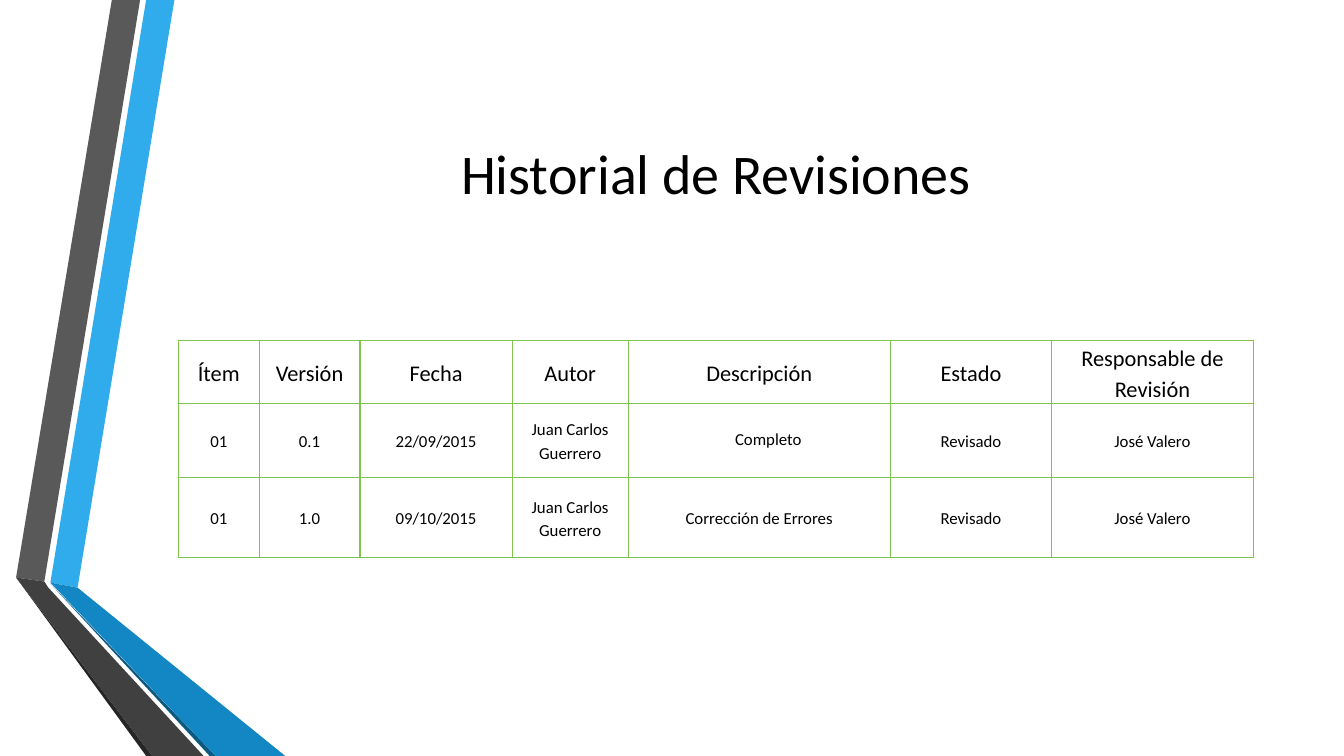
from dataclasses import dataclass
from typing import Any

from lxml.etree import SubElement
from pptx import Presentation
from pptx.dml.color import RGBColor
from pptx.enum.text import MSO_ANCHOR as Anchor, PP_ALIGN as Align
from pptx.oxml.ns import qn
from pptx.slide import Slide
from pptx.table import _Cell as Cell
from pptx.text.text import TextFrame
from pptx.util import Inches, Pt

BLACK = RGBColor(0x00, 0x00, 0x00)
GREEN = RGBColor(0x80, 0xC3, 0x4F)
LIGHT_BLUE = RGBColor(0x30, 0xAC, 0xEC)
BLUE = RGBColor(0x12, 0x87, 0xC3)
DEEP_BLUE = RGBColor(0x0C, 0x5A, 0x82)
GRAY = RGBColor(0x59, 0x59, 0x59)
DARK_GRAY = RGBColor(0x40, 0x40, 0x40)
DEEP_GRAY = RGBColor(0x26, 0x26, 0x26)


@dataclass(frozen=True)
class Ribbon:
    color: RGBColor
    points: tuple[tuple[float, float], ...]


@dataclass(frozen=True)
class Column:
    heading: str
    width: float
    entries: tuple[str, str]


RIBBONS = (
    Ribbon(LIGHT_BLUE, ((0.5, 5.78), (0.77, 5.83), (1.73, 0), (1.45, 0))),
    Ribbon(GRAY, ((1.39, 0), (1.11, 0), (0.16, 5.73), (0.44, 5.77))),
    Ribbon(DEEP_GRAY, ((0.16, 5.73), (1.45, 7.5), (1.51, 7.5))),
    Ribbon(DEEP_BLUE, ((0.5, 5.79), (2.08, 7.5), (2.14, 7.5))),
    Ribbon(BLUE, ((0.5, 5.78), (2.14, 7.5), (2.83, 7.5), (0.77, 5.83))),
    Ribbon(DARK_GRAY, ((0.16, 5.73), (1.51, 7.5), (2.02, 7.5), (0.48, 5.83), (0.44, 5.77))),
)
COLUMNS = (
    Column("Ítem", 0.8, ("01", "01")),
    Column("Versión", 1, ("0.1", "1.0")),
    Column("Fecha", 1.51, ("22/09/2015", "09/10/2015")),
    Column("Autor", 1.15, ("Juan Carlos Guerrero", "Juan Carlos Guerrero")),
    Column("Descripción", 2.6, ("Completo", "Corrección de Errores")),
    Column("Estado", 1.6, ("Revisado", "Revisado")),
    Column("Responsable de Revisión", 2, ("José Valero", "José Valero")),
)
ROW_HEIGHTS = (0.62, 0.74, 0.79)
CELL_FORMAT = {
    "margin_left": Inches(0.08),
    "margin_right": Inches(0.08),
    "margin_top": 0,
    "margin_bottom": 0,
    "vertical_anchor": Anchor.MIDDLE,
}
CELL_PARA = {"alignment": Align.CENTER, "line_spacing": 1.15, "space_after": Pt(3)}
TITLE_PARA = {"alignment": Align.CENTER}
TITLE_FRAME = {"word_wrap": True, "vertical_anchor": Anchor.MIDDLE}
PLAIN_TABLE = {"first_row": False, "horz_banding": False}


def apply(target: Any, values: dict[str, Any]) -> None:
    for name, value in values.items():
        setattr(target, name, value)


def write(frame: TextFrame, text: str, size: float, para_format: dict[str, Any]) -> None:
    para = frame.paragraphs[0]
    apply(para, para_format)
    span = para.add_run()
    span.text = text
    apply(span.font, {"name": "Calibri", "size": Pt(size)})
    span.font.color.rgb = BLACK


def draw_ribbon(page: Slide, ribbon: Ribbon) -> None:
    start, *others = [(Inches(x), Inches(y)) for x, y in ribbon.points]
    builder = page.shapes.build_freeform(*start)
    builder.add_line_segments(others, close=True)
    shape = builder.convert_to_shape()
    shape.shadow.inherit = False
    shape.fill.solid()
    shape.fill.fore_color.rgb = ribbon.color
    shape.line.fill.background()


def draw_title(page: Slide) -> None:
    box = page.shapes.add_textbox(Inches(1.62), Inches(0.75), Inches(10.96), Inches(1.92))
    apply(box.text_frame, TITLE_FRAME)
    write(box.text_frame, "Historial de Revisiones", 40, TITLE_PARA)


def outline(cell: Cell) -> None:
    properties = cell._tc.get_or_add_tcPr()
    for side in ("a:lnL", "a:lnR", "a:lnT", "a:lnB"):
        border = SubElement(properties, qn(side), w=str(Pt(1)))
        fill = SubElement(border, qn("a:solidFill"))
        SubElement(fill, qn("a:srgbClr"), val=str(GREEN))


def draw_history(page: Slide) -> None:
    width = sum(column.width for column in COLUMNS)
    frame = page.shapes.add_table(
        len(ROW_HEIGHTS), len(COLUMNS),
        Inches(1.77), Inches(3.38), Inches(width), Inches(sum(ROW_HEIGHTS)),
    )
    table = frame.table
    apply(table, PLAIN_TABLE)
    for row, height in zip(table.rows, ROW_HEIGHTS):
        row.height = Inches(height)
    for index, column in enumerate(COLUMNS):
        table.columns[index].width = Inches(column.width)
        for row_index, text in enumerate((column.heading, *column.entries)):
            cell = table.cell(row_index, index)
            apply(cell, CELL_FORMAT)
            outline(cell)
            cell.fill.background()
            write(cell.text_frame, text, 12 if row_index else 16, CELL_PARA)
            if text == "Completo":
                cell.margin_left = Inches(0.26)
                cell.margin_bottom = Inches(0.04)


def main() -> None:
    deck = Presentation()
    apply(deck, {"slide_width": Inches(13.33), "slide_height": Inches(7.5)})
    page = deck.slides.add_slide(deck.slide_layouts[6])
    for ribbon in RIBBONS:
        draw_ribbon(page, ribbon)
    draw_title(page)
    draw_history(page)
    deck.save("out.pptx")


if __name__ == "__main__":
    main()
